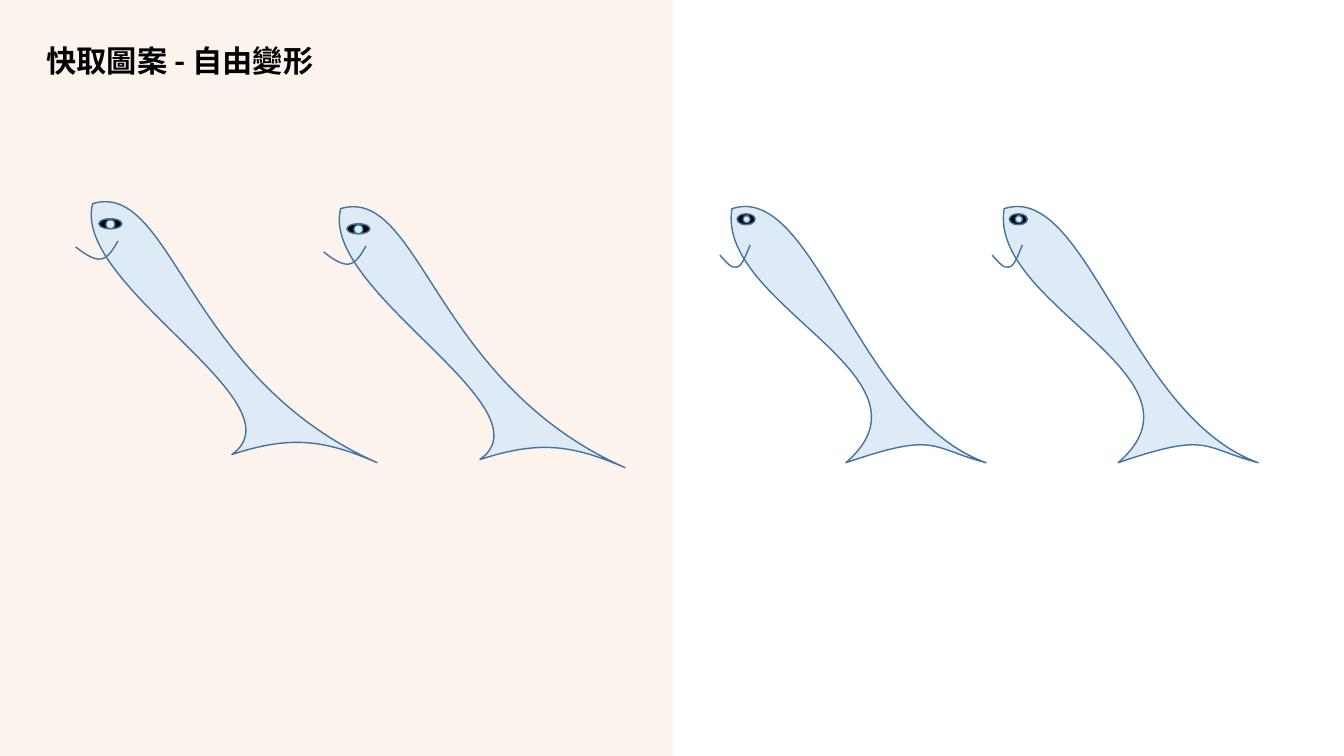
from lxml.etree import SubElement
from pptx import Presentation
from pptx.dml.color import RGBColor
from pptx.enum.shapes import MSO_CONNECTOR, MSO_SHAPE
from pptx.enum.text import MSO_ANCHOR, MSO_AUTO_SIZE, PP_ALIGN
from pptx.oxml.ns import qn
from pptx.util import Inches, Pt

BLACK = RGBColor(0x00, 0x00, 0x00)
PALE_BLUE = RGBColor(0xDE, 0xEB, 0xF7)
OUTLINE = RGBColor(0x43, 0x73, 0x9E)
PEACH = RGBColor(0xF4, 0xB1, 0x83)
PALE_PEACH = RGBColor(0xFB, 0xE5, 0xD6)
FONT = "Noto Sans CJK SC"

# Each curve is a start point followed by cubic segments (two controls, one end).
# Eyes are left, top, width, height: the dark eye, then its pupil.
LONG_FISH = {
    "body": [(2.3, 4.51), (3.02, 4), (0.7, 2.83), (0.92, 2.02),
             (1.71, 1.79), (1.84, 3.75), (3.74, 4.59),
             (3.21, 4.36), (2.88, 4.32), (2.3, 4.51)],
    "barbel": [(0.75, 2.45), (0.84, 2.52), (0.93, 2.58), (1, 2.57),
               (1.07, 2.56), (1.12, 2.48), (1.17, 2.39)],
    "eyes": [(0.98, 2.17, 0.23, 0.1), (1.05, 2.18, 0.09, 0.09)],
}
SLIM_FISH = {
    "body": [(8.39, 4.59), (9.3, 4.28), (9.21, 4.44), (9.78, 4.59),
             (8.5, 4.13), (8.08, 1.8), (7.26, 2.07),
             (7.1, 3.03), (9.39, 3.73), (8.39, 4.59)],
    "barbel": [(7.14, 2.53), (7.2, 2.6), (7.26, 2.67), (7.31, 2.65),
               (7.36, 2.64), (7.4, 2.53), (7.44, 2.43)],
    "eyes": [(7.31, 2.12, 0.18, 0.11), (7.37, 2.14, 0.07, 0.07)],
}


def bezier_points(a, b, c, d, steps=24):
    """Points along one cubic segment, without its start."""
    for i in range(1, steps + 1):
        t = i / steps
        u = 1 - t
        yield tuple(round(u**3 * p + 3 * u * u * t * q + 3 * u * t * t * r + t**3 * v)
                    for p, q, r, v in zip(a, b, c, d))


class SlideBuilder:
    title_font = {"name": FONT, "size": Pt(21.6), "bold": True}

    def __init__(self, prs):
        self.s = prs.slides.add_slide(prs.slide_layouts[5])

    def title(self, text, left, top, width, height):
        sp = self.s.shapes.title
        box = {"left": left, "top": top, "width": width, "height": height}
        for name, value in box.items():
            setattr(sp, name, Inches(value))
        tf = sp.text_frame
        frame = {"word_wrap": False, "auto_size": MSO_AUTO_SIZE.NONE,
                 "vertical_anchor": MSO_ANCHOR.MIDDLE}
        for name, value in frame.items():
            setattr(tf, name, value)
        p = tf.paragraphs[0]
        p.alignment, p.line_spacing = PP_ALIGN.LEFT, 0.9
        r = p.add_run()
        r.text = text
        for name, value in self.title_font.items():
            setattr(r.font, name, value)
        r.font.color.rgb = BLACK
        SubElement(r.font._element, qn("a:ea"), typeface=FONT)

    def send_behind_title(self, sp):
        self.s.shapes.title.element.addprevious(sp.element)

    def set_opacity(self, sp, percent):
        color = next(sp.element.spPr.iter(qn("a:srgbClr")))
        SubElement(color, qn("a:alpha"), val=str(percent * 1000))

    def panel(self, left, top, width, height, color, opacity):
        sp = self.s.shapes.add_shape(
            MSO_SHAPE.RECTANGLE, *map(Inches, (left, top, width, height)))
        sp.shadow.inherit = False
        sp.fill.solid()
        sp.fill.fore_color.rgb = color
        sp.line.fill.background()
        self.set_opacity(sp, opacity)
        self.send_behind_title(sp)

    def divider(self, x1, y1, x2, y2, color, opacity):
        line = self.s.shapes.add_connector(
            MSO_CONNECTOR.STRAIGHT, *map(Inches, (x1, y1, x2, y2)))
        line.line.color.rgb = color
        line.line.width = Pt(0.25)
        self.set_opacity(line, opacity)
        SubElement(line.element.spPr, qn("a:effectLst"))
        self.send_behind_title(line)

    def paint(self, sp, fill=None):
        sp.shadow.inherit = False
        if fill is None:
            sp.fill.background()
        else:
            sp.fill.solid()
            sp.fill.fore_color.rgb = fill
        sp.line.color.rgb = OUTLINE
        sp.line.width = Pt(1)

    def curve(self, group, points, dx, dy, fill=None):
        points = [(Inches(x + dx), Inches(y + dy)) for x, y in points]
        segments = [points[i:i + 4] for i in range(0, len(points) - 1, 3)]
        closed = points[0] == points[-1]

        # Sampled points give the shape its exact bounds
        builder = group.shapes.build_freeform(*points[0], scale=1)
        builder.add_line_segments(
            [pt for seg in segments for pt in bezier_points(*seg)], close=closed)
        sp = builder.convert_to_shape()

        # True cubic segments then take the place of the sampled outline
        path = next(sp.element.iter(qn("a:path")))
        for child in list(path):
            path.remove(child)
        commands = [("a:moveTo", points[:1])]
        commands += [("a:cubicBezTo", seg[1:]) for seg in segments]
        commands += [("a:close", [])] if closed else []
        for tag, pts in commands:
            command = SubElement(path, qn(tag))
            for x, y in pts:
                SubElement(command, qn("a:pt"), x=str(x - sp.left), y=str(y - sp.top))
        self.paint(sp, fill)

    def fish(self, parts, dx=0, dy=0):
        group = self.s.shapes.add_group_shape()
        self.curve(group, parts["body"], dx, dy, PALE_BLUE)
        self.curve(group, parts["barbel"], dx, dy)
        for (x, y, w, h), fill in zip(parts["eyes"], (BLACK, PALE_BLUE)):
            eye = group.shapes.add_shape(
                MSO_SHAPE.OVAL, *map(Inches, (x + dx, y + dy, w, h)))
            self.paint(eye, fill)


def main():
    prs = Presentation()
    prs.slide_width, prs.slide_height = Inches(13.33), Inches(7.5)
    slide = SlideBuilder(prs)

    # Background halves and title
    slide.panel(0, 0, 6.67, 7.5, PEACH, 14)
    slide.divider(6.67, 7.5, 6.67, 0, PALE_PEACH, 50)
    slide.title("快取圖案 - 自由變形", 0.36, 0.4, 5.95, 0.44)

    # Two fish of each kind
    slide.fish(LONG_FISH)
    slide.fish(LONG_FISH, 2.46, 0.05)
    slide.fish(SLIM_FISH)
    slide.fish(SLIM_FISH, 2.7)

    prs.save("out.pptx")


if __name__ == "__main__":
    main()
